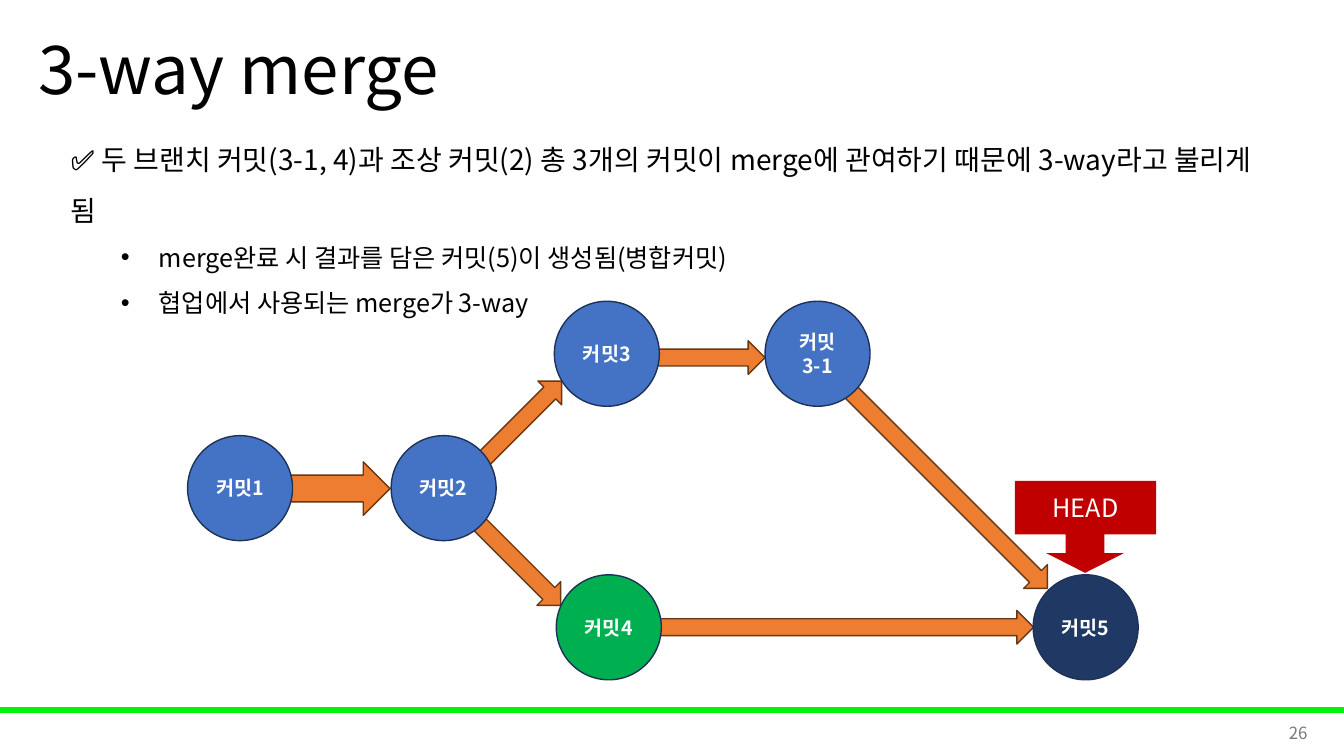
from lxml import etree
from pptx import Presentation
from pptx.dml.color import RGBColor
from pptx.enum.shapes import MSO_SHAPE
from pptx.enum.text import MSO_ANCHOR, MSO_AUTO_SIZE, PP_ALIGN
from pptx.oxml.ns import qn
from pptx.util import Pt

RECT, OVAL = MSO_SHAPE.RECTANGLE, MSO_SHAPE.OVAL
RIGHT_ARROW, DOWN_ARROW = MSO_SHAPE.RIGHT_ARROW, MSO_SHAPE.DOWN_ARROW
LEFT, CENTER, RIGHT = PP_ALIGN.LEFT, PP_ALIGN.CENTER, PP_ALIGN.RIGHT
MIDDLE, TOP = MSO_ANCHOR.MIDDLE, MSO_ANCHOR.TOP
FIT_SHAPE, NO_FIT = MSO_AUTO_SIZE.SHAPE_TO_FIT_TEXT, MSO_AUTO_SIZE.NONE

FONT = "Noto Sans CJK KR"
BLACK, WHITE, GRAY = "000000", "FFFFFF", "797979"
BLUE, NAVY, GREEN, OUTLINE = "4472C4", "203864", "00B050", "1E3256"
ORANGE, BROWN, RED, LIME = "ED7D31", "683715", "C00000", "00F209"
COMMIT_SIZE = 75


def color(value):
    return RGBColor.from_string(value)


def place(sp, x, y, w, h):
    sp.left, sp.top, sp.width, sp.height = Pt(x), Pt(y), Pt(w), Pt(h)


def add_run(p, text, size, fill, bold=False):
    r = p.add_run()
    r.text = text
    r.font.name, r.font.size, r.font.bold = FONT, Pt(size), bold
    r.font.color.rgb = color(fill)
    etree.SubElement(r.font._element, qn("a:ea"), typeface=FONT)


def add_label(sp, text, size, fill, align=CENTER, bold=False):
    tf = sp.text_frame
    tf.word_wrap, tf.vertical_anchor = True, MIDDLE
    p = tf.paragraphs[0]
    p.alignment = align
    add_run(p, text, size, fill, bold)
    return p


def add_box(s, kind, x, y, w, h, fill, line=None):
    sp = s.shapes.add_shape(kind, Pt(x), Pt(y), Pt(w), Pt(h))
    sp.shadow.inherit = False
    sp.fill.solid()
    sp.fill.fore_color.rgb = color(fill)
    if line:
        sp.line.color.rgb = color(line)
        sp.line.width = Pt(1)
    else:
        sp.line.fill.background()
    return sp


def set_bullet(p, indent, hanging, char=None):
    pPr = p._p.get_or_add_pPr()
    pPr.set("marL", str(Pt(indent)))
    pPr.set("indent", str(Pt(-hanging)))
    if char:
        etree.SubElement(pPr, qn("a:buFont"), typeface="Arial")
        etree.SubElement(pPr, qn("a:buChar"), char=char)
    else:
        etree.SubElement(pPr, qn("a:buNone"))


def add_title(s, x, y, w, h):
    sp = s.shapes.title
    place(sp, x, y, w, h)
    sp.text_frame.auto_size = NO_FIT
    add_label(sp, "3-way merge", 48, BLACK, LEFT).line_spacing = 0.9


def add_points(s, x, y, w, h):
    sp = s.placeholders[1]
    place(sp, x, y, w, h)
    tf = sp.text_frame
    tf.word_wrap, tf.vertical_anchor, tf.auto_size = True, TOP, FIT_SHAPE
    points = [
        (0, "✅ 두 브랜치 커밋(3-1, 4)과 조상 커밋(2) 총 3개의 커밋이 merge에 "
            "관여하기 때문에 3-way라고 불리게 됨"),
        (1, "merge완료 시 결과를 담은 커밋(5)이 생성됨(병합커밋)"),
        (1, "협업에서 사용되는 merge가 3-way"),
    ]
    for i, (level, text) in enumerate(points):
        p = tf.add_paragraph() if i else tf.paragraphs[0]
        if level:
            set_bullet(p, 63, 27, "•")
        else:
            set_bullet(p, 0, 0)
        p.level, p.alignment, p.line_spacing = level, LEFT, 1.5
        p.space_before = Pt(0)
        add_run(p, text, 18 if level else 20, BLACK)


def add_commit_graph(s, x, y):
    # Arrows: centre, length, thickness, angle
    for cx, cy, length, thick, angle in [
        (469, 232.8, 270.7, 24, 0),
        (540.3, 131.3, 208.8, 24, 45),
        (373.2, 40.2, 78.5, 24, 0),
        (235.7, 186.4, 87.1, 24, 45),
        (236.4, 87.8, 87.1, 24, -45),
        (75.5, 133.8, 138.2, 38.2, 0),
    ]:
        arrow = add_box(s, RIGHT_ARROW, x + cx - length / 2,
                        y + cy - thick / 2, length, thick, ORANGE, BROWN)
        arrow.rotation = angle

    # Commits
    for text, dx, dy, fill in [
        ("커밋1", 0, 96, BLUE),
        ("커밋2", 145.4, 96, BLUE),
        ("커밋3", 262, 0, BLUE),
        ("커밋4", 263.4, 195.4, GREEN),
        ("커밋3-1", 412.5, 0, BLUE),
        ("커밋5", 604, 195.4, NAVY),
    ]:
        commit = add_box(s, OVAL, x + dx, y + dy, COMMIT_SIZE, COMMIT_SIZE,
                         fill, OUTLINE)
        add_label(commit, text, 14, WHITE, bold=True)

    # HEAD pointer
    add_box(s, DOWN_ARROW, x + 613.4, y + 165.9, 55.4, 28.1, RED)
    head = add_box(s, RECT, x + 591, y + 128.4, 100.8, 38.2, RED)
    add_label(head, "HEAD", 18, WHITE)


def add_footer(s, x, y, w):
    add_box(s, RECT, x, y, w, 3.6, LIME, LIME)
    number = s.shapes.add_textbox(Pt(x + w - 235), Pt(y + 3.6),
                                  Pt(216), Pt(28.8))
    add_label(number, "26", 12, GRAY, RIGHT)


def main():
    prs = Presentation()
    prs.slide_width, prs.slide_height = Pt(960), Pt(540)
    s = prs.slides.add_slide(prs.slide_layouts[1])
    add_footer(s, 0, 505.4, 960)
    add_points(s, 43.2, 86.4, 874, 105)
    add_title(s, 20, 0, 828, 104.4)
    add_commit_graph(s, 134, 215.2)
    prs.save("out.pptx")


if __name__ == "__main__":
    main()
